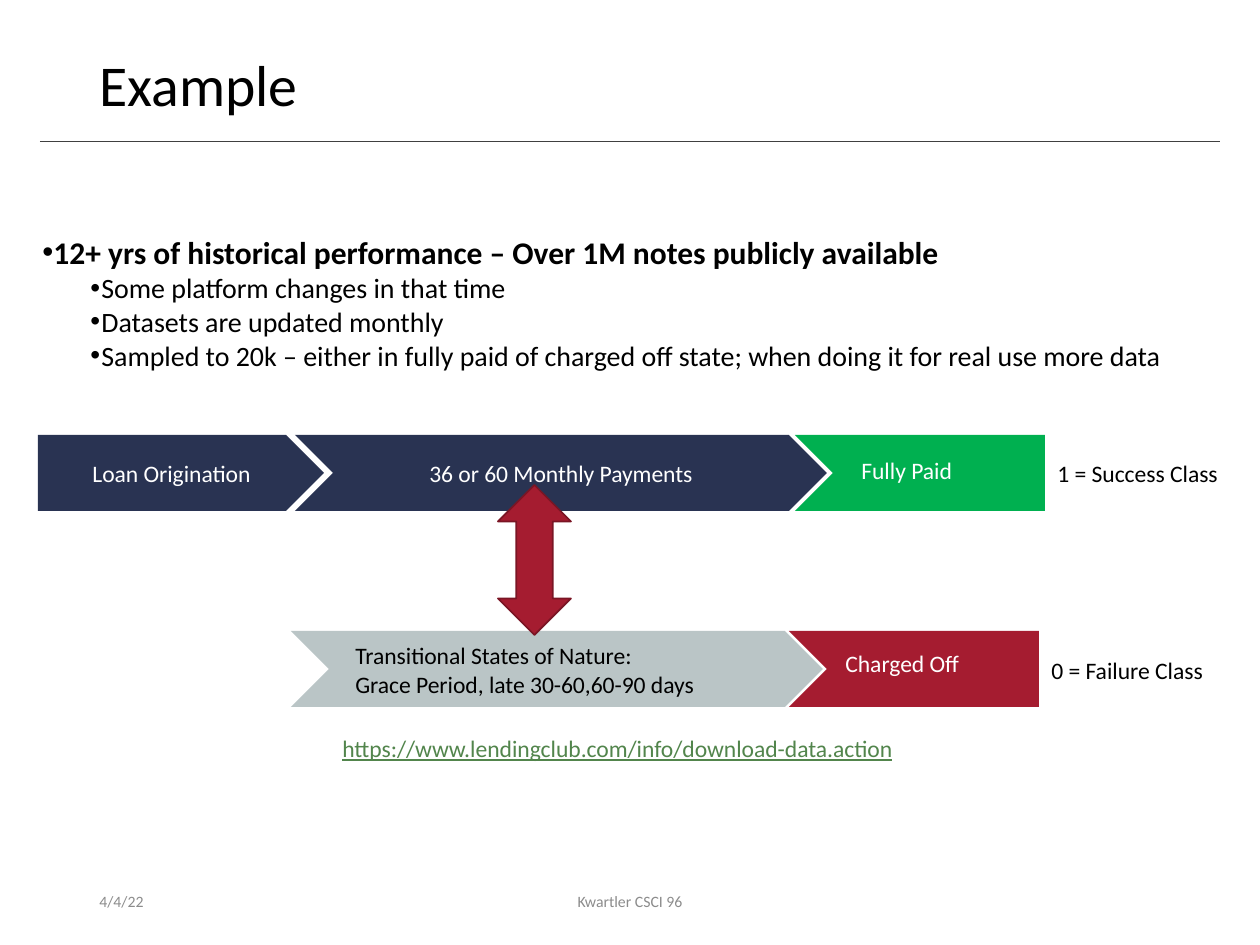
from lxml import etree
from pptx import Presentation
from pptx.dml.color import RGBColor
from pptx.enum.shapes import MSO_CONNECTOR, MSO_SHAPE
from pptx.enum.text import MSO_ANCHOR, PP_ALIGN
from pptx.oxml.ns import qn
from pptx.util import Pt

PX = 914400 / 126
FONT = "Calibri"
BLACK = RGBColor(0x00, 0x00, 0x00)
WHITE = RGBColor(0xFF, 0xFF, 0xFF)
GRAY = RGBColor(0x8C, 0x8C, 0x8C)
RULE = RGBColor(0x40, 0x40, 0x40)
NAVY = RGBColor(0x29, 0x33, 0x52)
MIST = RGBColor(0xBA, 0xC5, 0xC6)
GREEN = RGBColor(0x00, 0xB0, 0x50)
RED = RGBColor(0xA5, 0x1C, 0x30)
WINE = RGBColor(0x7A, 0x15, 0x24)
LINK = RGBColor(0x52, 0x85, 0x4C)
CHEVRON, PLATE = MSO_SHAPE.CHEVRON, MSO_SHAPE.PENTAGON
ARROW = MSO_SHAPE.UP_DOWN_ARROW
LEFT, MID = PP_ALIGN.LEFT, PP_ALIGN.CENTER
TOP, HALF = MSO_ANCHOR.TOP, MSO_ANCHOR.MIDDLE

PAID, LATE, STEP = 435, 631, 76  # tops of the two rows, row height

# text, size, bold, left indent in px
POINTS = [
    ("12+ yrs of historical performance – Over 1M notes publicly available", 18, True, 11),
    ("Some platform changes in that time", 16, False, 59),
    ("Datasets are updated monthly", 16, False, 59),
    ("Sampled to 20k – either in fully paid of charged off state; "
     "when doing it for real use more data", 16, False, 59),
]
# kind, left, top, width, fill, text
STEPS = [
    (CHEVRON, 291, LATE, 532, MIST, None),
    (PLATE, 38, PAID, 286, NAVY, "Loan Origination"),
    (CHEVRON, 295, PAID, 532, NAVY, "36 or 60 Monthly Payments"),
]
# left, top, fill
ENDS = [(795, PAID, GREEN), (789, LATE, RED)]
# box, lines, size, colour, align, anchor
LABELS = [
    ((87, 50, 1086, 82), ["Example"], 33, BLACK, LEFT, TOP),
    ((343, 635, 369, 71), ["Transitional States of Nature:",
                           "Grace Period, late 30-60,60-90 days"], 13.5, BLACK, LEFT, TOP),
    ((849, 450, 163, 57), ["Fully Paid"], 13.5, WHITE, LEFT, TOP),
    ((833, 643, 197, 57), ["Charged Off"], 13.5, WHITE, LEFT, TOP),
    ((1045, 453, 188, 42), ["1 = Success Class"], 13.5, BLACK, LEFT, TOP),
    ((1039, 650, 179, 42), ["0 = Failure Class"], 13.5, BLACK, LEFT, TOP),
    ((330, 728, 593, 42), ["https://www.lendingclub.com/info/download-data.action"],
     13.5, LINK, LEFT, TOP),
    ((87, 876, 283, 50), ["4/4/22"], 9, GRAY, LEFT, HALF),
    ((417, 876, 426, 50), ["Kwartler CSCI 96"], 9, GRAY, MID, HALF),
]


def emu(*nums):
    return [round(n * PX) for n in nums]


def add_run(para, text, size, color, bold=False):
    run = para.add_run()
    run.text = text
    font = run.font
    font.name, font.size, font.bold = FONT, Pt(size), bold
    font.color.rgb = color
    font.underline = True if color == LINK else None


def paint(shape, fill, edge=None):
    shape.shadow.inherit = False
    shape.fill.solid()
    shape.fill.fore_color.rgb = fill
    if edge:
        shape.line.color.rgb = edge
        shape.line.width = Pt(1)
    else:
        shape.line.fill.background()


def add_box(shapes, box, anchor=TOP):
    frame = shapes.add_textbox(*emu(*box)).text_frame
    frame.word_wrap = True
    frame.vertical_anchor = anchor
    return frame


def next_para(frame, i):
    return frame.add_paragraph() if i else frame.paragraphs[0]


def add_points(shapes):
    frame = add_box(shapes, (30, 227, 1192, 186))
    for i, (text, size, bold, left) in enumerate(POINTS):
        para = next_para(frame, i)
        para.level = 1 if i else 0
        props = para._p.get_or_add_pPr()
        props.set("marL", str(emu(left)[0]))
        props.set("indent", str(emu(-11)[0]))
        etree.SubElement(props, qn("a:buFont"), typeface="Arial")
        etree.SubElement(props, qn("a:buChar"), char="•")
        add_run(para, text, size, BLACK, bold)


def add_steps(shapes):
    for kind, left, top, width, fill, text in STEPS:
        shape = shapes.add_shape(kind, *emu(left, top, width, STEP))
        paint(shape, fill)
        if text:
            shape.text_frame.vertical_anchor = HALF
            para = shape.text_frame.paragraphs[0]
            para.alignment = MID
            add_run(para, text, 13.5, WHITE)


def add_ends(shapes):
    """Bars with a notch on the left and a flat right edge."""
    for left, top, fill in ENDS:
        right, foot = left + 250, top + STEP
        path = shapes.build_freeform(left, top, scale=PX)
        path.add_line_segments([(right, top), (right, foot), (left, foot),
                                (left + STEP // 2, top + STEP // 2)])
        paint(path.convert_to_shape(), fill)


def add_rule(shapes):
    rule = shapes.add_connector(MSO_CONNECTOR.STRAIGHT, *emu(40, 141, 1220, 141))
    rule.line.color.rgb = RULE
    rule.line.width = Pt(0.5)
    etree.SubElement(rule._element.spPr, qn("a:effectLst"))


def add_labels(shapes):
    for box, lines, size, color, align, anchor in LABELS:
        frame = add_box(shapes, box, anchor)
        if align == LEFT:
            frame.margin_right = 0
        for i, text in enumerate(lines):
            para = next_para(frame, i)
            para.alignment = align
            if size == 33:
                para.line_spacing = 0.9
            add_run(para, text, size, color)


def main():
    deck = Presentation()
    deck.slide_width, deck.slide_height = emu(1260, 945)
    shapes = deck.slides.add_slide(deck.slide_layouts[6]).shapes
    add_rule(shapes)
    add_points(shapes)
    add_steps(shapes)
    add_ends(shapes)
    paint(shapes.add_shape(ARROW, *emu(498, 485, 73, 150)), RED, WINE)
    add_labels(shapes)
    deck.save("out.pptx")


if __name__ == "__main__":
    main()
